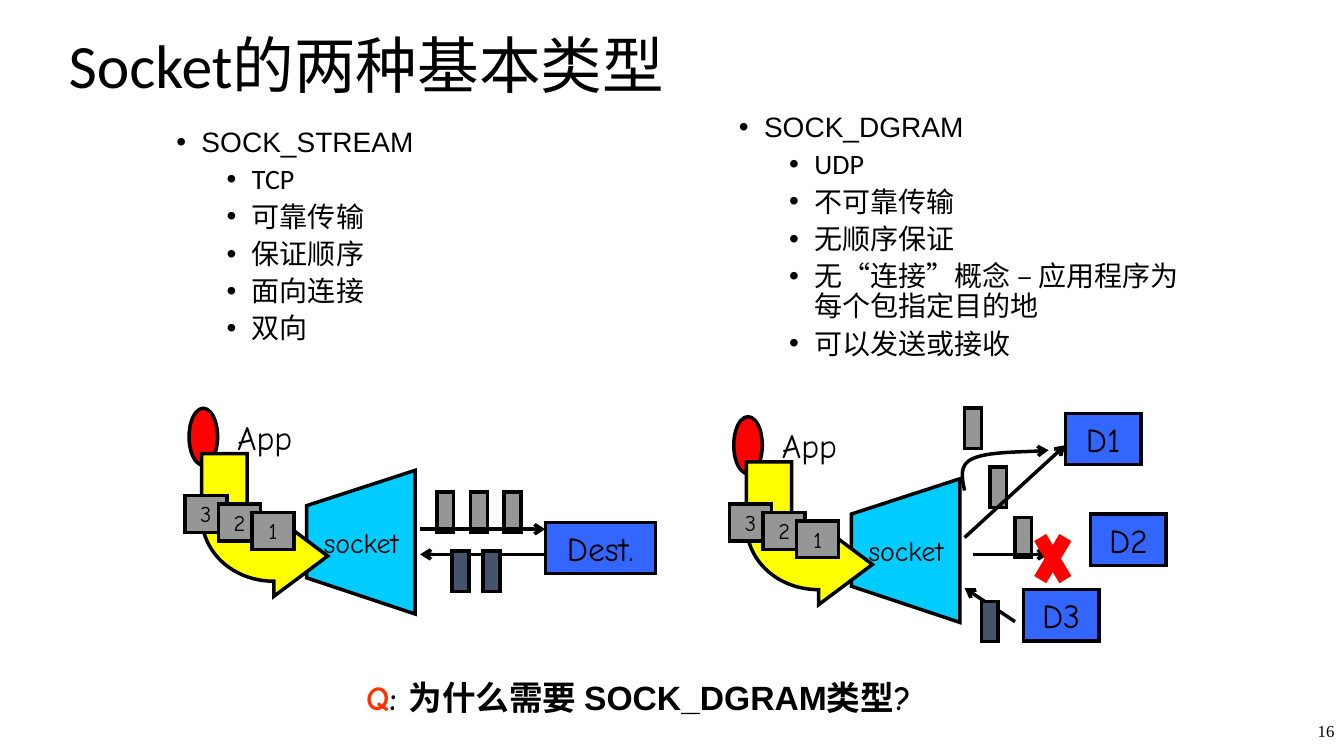
from lxml.etree import SubElement
from pptx import Presentation
from pptx.dml.color import RGBColor
from pptx.enum.shapes import MSO_CONNECTOR, MSO_SHAPE
from pptx.enum.text import MSO_ANCHOR, PP_ALIGN
from pptx.oxml.ns import qn
from pptx.util import Inches, Pt

BLACK = RGBColor(0, 0, 0)
RED = RGBColor(0xFF, 0, 0)
ORANGE = RGBColor(0xFF, 0x33, 0)
YELLOW = RGBColor(0xFF, 0xFF, 0)
CYAN = RGBColor(0, 0xCC, 0xFF)
BLUE = RGBColor(0x33, 0x66, 0xFF)
GREY = RGBColor(0x96, 0x96, 0x96)
SLATE = RGBColor(0x44, 0x54, 0x6A)
HAND = "Comic Neue"
OUTLINE = Pt(2.5)

presentation = Presentation()
presentation.slide_width = Inches(13.33)
presentation.slide_height = Inches(7.5)
slide = presentation.slides.add_slide(presentation.slide_layouts[6])

# Every length below counts cells of a grid of 160 columns and 90 rows
CELL = presentation.slide_height / 90


def add_box(at, text="", fill=None, kind=MSO_SHAPE.RECTANGLE, size=24, font=HAND,
            color=BLACK, bold=False, align=PP_ALIGN.CENTER, anchor=MSO_ANCHOR.MIDDLE):
    """Add a filled shape, or a text box when there is no fill."""
    place = [round(length * CELL) for length in at]
    if fill is None:
        shape = slide.shapes.add_textbox(*place)
    else:
        shape = slide.shapes.add_shape(kind, *place)
        shape.shadow.inherit = False
        shape.fill.solid()
        shape.fill.fore_color.rgb = fill
        shape.line.color.rgb = BLACK
        shape.line.width = OUTLINE
    shape.text_frame.word_wrap = True
    shape.text_frame.vertical_anchor = anchor
    if text:
        paragraph = shape.text_frame.paragraphs[0]
        paragraph.alignment = align
        run = paragraph.add_run()
        run.text = text
        run.font.size = Pt(size)
        run.font.name = font
        run.font.bold = bold
        run.font.color.rgb = color
    return shape


def add_outline(segments, fill=None, shift=(0, 0)):
    """Draw an outline; a segment holds one corner or the three points of a curve."""
    points = [(round((x + shift[0]) * CELL), round((y + shift[1]) * CELL))
              for segment in segments for x, y in segment]
    builder = slide.shapes.build_freeform(*points[0])
    builder.add_line_segments(points[1:], close=fill is not None)
    shape = builder.convert_to_shape()
    # Turn each run of three points into one curve
    steps = list(next(shape._element.iter(qn("a:moveTo"))).getparent())
    for segment in segments:
        first, *others = [steps.pop(0) for _ in segment]
        if others:
            first.tag_name = None
            curve = first.getparent().makeelement(qn("a:cubicBezTo"))
            first.addprevious(curve)
            for step in (first, *others):
                curve.append(step[0])
                step.getparent().remove(step)
    shape.shadow.inherit = False
    if fill is None:
        shape.fill.background()
    else:
        shape.fill.solid()
        shape.fill.fore_color.rgb = fill
    shape.line.color.rgb = BLACK
    shape.line.width = OUTLINE
    return shape


# Title and page number
title = add_box((7, 0.6, 102, 15), "Socket的两种基本类型", size=44, font="Calibri",
                align=PP_ALIGN.LEFT)
title.text_frame.paragraphs[0].line_spacing = 0.9
add_box((152, 84, 8, 6), "16", size=12, font="Times New Roman", align=PP_ALIGN.RIGHT)

# Bullet lists
lists = [
    ((19.8, 14.7, 50, 61),
     ["SOCK_STREAM", "TCP", "可靠传输", "保证顺序", "面向连接", "双向"]),
    ((86.75, 12.92, 57, 61),
     ["SOCK_DGRAM", "UDP", "不可靠传输", "无顺序保证",
      "无“连接”概念 – 应用程序为每个包指定目的地", "可以发送或接收"]),
]
for at, items in lists:
    frame = add_box(at, anchor=MSO_ANCHOR.TOP).text_frame
    for index, item in enumerate(items):
        paragraph = frame.add_paragraph() if index else frame.paragraphs[0]
        paragraph.level = 1 if index else 0
        properties = paragraph._p.get_or_add_pPr()
        properties.set("marL", str(Inches(0.75 if index else 0.25)))
        properties.set("indent", str(-Inches(0.25)))
        SubElement(properties, qn("a:buFont")).set("typeface", "Arial")
        SubElement(properties, qn("a:buChar")).set("char", "•")
        paragraph.line_spacing = 0.9
        paragraph.space_before = Pt(5 if index else 0)
        run = paragraph.add_run()
        run.text = item
        run.font.size = Pt(20)
        run.font.name = "Calibri" if index else "Arial"
        run.font.color.rgb = BLACK

# Application and socket, once for each type
funnel = [[(49.4, 56)], [(36.5, 60.2)], [(36.5, 68.8)], [(49.4, 73.1)]]
bent_arrow = [
    [(39, 66.2)], [(32.6, 71)], [(32.6, 69.2)],
    [(27.8, 69.2), (24, 65.8), (24, 61.4)],
    [(24, 54)], [(29.4, 54)], [(29.4, 61.4)],
    [(29.4, 62.4), (30.8, 63.2), (32.6, 63.2)],
    [(32.6, 61.4)],
]
for shift in ((0, 0), (64.83, 1)):
    x, y = shift
    add_box((22.5 + x, 48.6 + y, 3.4, 6.8), fill=RED, kind=MSO_SHAPE.OVAL)
    add_box((22 + x, 49 + y, 19, 6), "App", anchor=MSO_ANCHOR.TOP)
    add_outline(funnel, CYAN, shift)
    add_box((32 + x, 61.9 + y, 22, 5.2), "socket", size=20)
    add_outline(bent_arrow, YELLOW, shift)
    for index, number in enumerate("321"):
        add_box((22 + 4 * index + x, 59 + index + y, 5, 4.4), number, GREY, size=16,
                anchor=MSO_ANCHOR.TOP)

# Outgoing packets
for left, top in ((52, 58.6), (56, 58.6), (60, 58.6),
                  (114.8, 48.6), (117.8, 55.6), (120.8, 61.6)):
    add_box((left, top, 2, 4.8), fill=GREY)

# Arrows, and the cross over the lost packet
curve = add_outline([[(114.8, 58.4)],
                     [(114.5, 56.9), (114.1, 55.3), (115.8, 54.6)],
                     [(117.5, 53.8), (123.4, 53.8), (124.8, 53.6)]])
arrows = [curve]
links = [
    (50, 63, 64.9, 63, BLACK), (64.9, 66, 50, 66, BLACK),
    (114.8, 64, 126.8, 53, BLACK), (115.8, 66, 124.8, 66, BLACK),
    (120.8, 74, 114.8, 70, BLACK),
    (123.8, 64, 126.8, 69, RED), (126.8, 64, 123.8, 69, RED),
]
for *ends, color in links:
    connector = slide.shapes.add_connector(MSO_CONNECTOR.STRAIGHT,
                                           *[round(end * CELL) for end in ends])
    connector.line.color.rgb = color
    connector.line.width = Pt(10) if color == RED else OUTLINE
    SubElement(connector._element.spPr, qn("a:effectLst"))
    if color == BLACK:
        arrows.append(connector)

# Destinations
for left, top, width, name in ((64.9, 62.2, 13.1, "Dest."), (126.8, 49.2, 9, "D1"),
                               (121.8, 70.2, 9, "D3"), (129.8, 61.2, 9, "D2")):
    add_box((left, top, width, 6.1), name, BLUE)

# Incoming packets
for left, top in ((53.8, 65.6), (57.5, 65.6), (116.8, 71.6)):
    add_box((left, top, 2, 4.8), fill=SLATE)

# Closing question
question = add_box((39, 80, 74, 6), "Q", color=ORANGE, bold=True, anchor=MSO_ANCHOR.TOP)
for text, font in ((": 为什么需要 ", HAND), ("SOCK_DGRAM类型", "Arial"), ("?", HAND)):
    run = question.text_frame.paragraphs[0].add_run()
    run.text = text
    run.font.size = Pt(24)
    run.font.name = font
    run.font.bold = True
    run.font.color.rgb = BLACK

# Sharp corners, then arrowheads
for shape in slide.shapes:
    line = shape._element.spPr.find(qn("a:ln"))
    if line is not None:
        SubElement(line, qn("a:miter")).set("lim", "800000")
for arrow in arrows:
    line = arrow._element.spPr.find(qn("a:ln"))
    SubElement(line, qn("a:tailEnd")).set("type", "arrow")

presentation.save("out.pptx")
